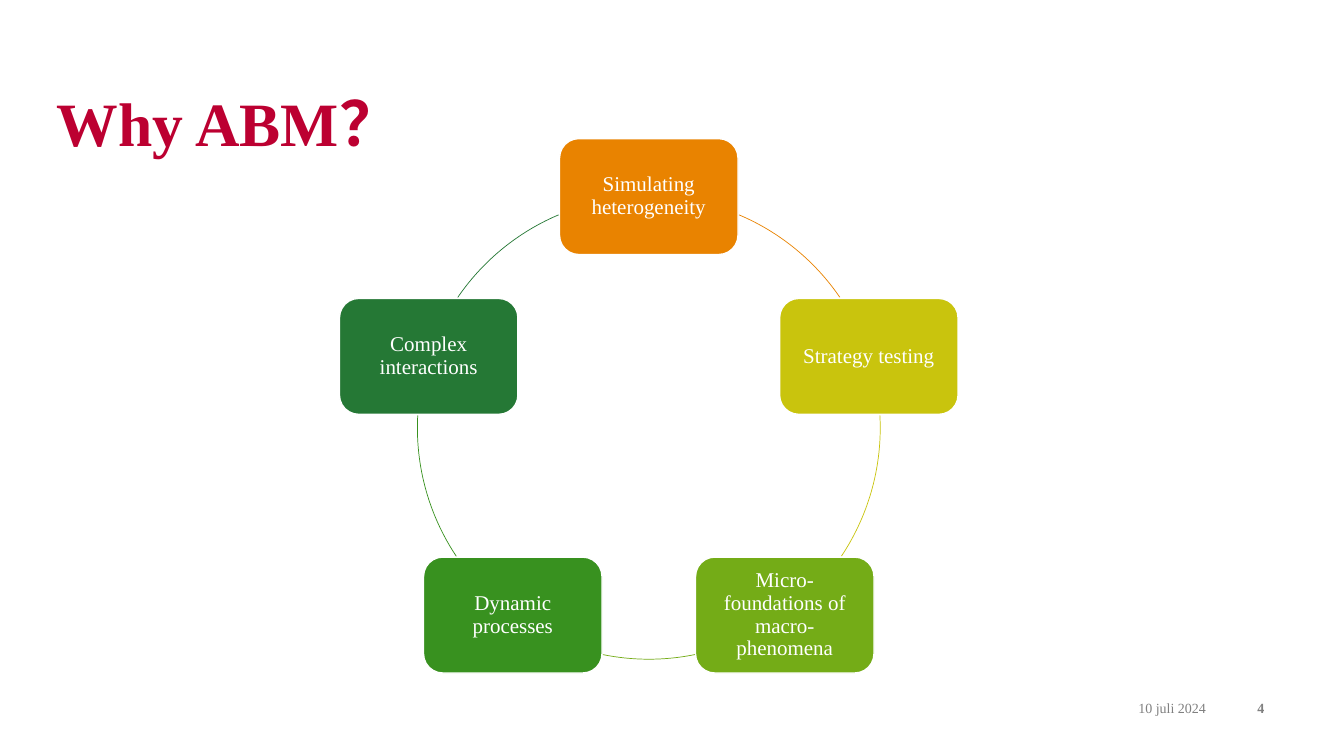
from dataclasses import dataclass
from math import cos, radians, sin

from pptx import Presentation
from pptx.dml.color import RGBColor
from pptx.enum.shapes import MSO_SHAPE
from pptx.enum.text import MSO_ANCHOR, MSO_AUTO_SIZE, PP_ALIGN
from pptx.util import Inches, Pt

COLORS = {
    "title": "BC0031",
    "footer": "808080",
    "white": "FFFFFF",
    "orange": "E98300",
    "yellow": "C9C40D",
    "lime": "74AC17",
    "green": "38911F",
    "forest": "257835",
}
FONT = "Times New Roman"

# Ring geometry, in inches
CENTER_X, CENTER_Y, RADIUS = 6.435, 4.245, 2.295
BOX_W, BOX_H = 1.77, 1.15


@dataclass
class Reason:
    text: str
    color: str
    arc_start: float  # degrees clockwise from three o'clock
    arc_end: float


@dataclass
class Footer:
    text: str
    left: float
    width: float
    bold: bool


REASONS = [
    Reason("Simulating heterogeneity", "orange", 292.94, 325.65),
    Reason("Strategy testing", "yellow", 356.9, 33.7),
    Reason("Micro-foundations of macro-phenomena", "lime", 78.5, 101.5),
    Reason("Dynamic processes", "green", 146.3, 183.1),
    Reason("Complex interactions", "forest", 214.35, 247.06),
]
FOOTERS = [
    Footer("10 juli 2024", 8.75, 3.21, False),
    Footer("4", 12.23, 0.31, True),
]


def rgb(name: str) -> RGBColor:
    return RGBColor.from_string(COLORS[name])


def write(sp, text: str, size: float, color: str, align, bold: bool = False,
          inset: float = 0, spacing: float = 1.0) -> None:
    """Fill a shape with one formatted paragraph."""
    tf = sp.text_frame
    margin = Inches(inset)
    frame_format = {
        "word_wrap": True,
        "auto_size": MSO_AUTO_SIZE.NONE,
        "vertical_anchor": MSO_ANCHOR.MIDDLE,
        "margin_left": margin,
        "margin_right": margin,
        "margin_top": margin,
        "margin_bottom": margin,
    }
    for name, value in frame_format.items():
        setattr(tf, name, value)
    p = tf.paragraphs[0]
    p.alignment = align
    p.line_spacing = spacing
    r = p.add_run()
    r.text = text
    font_format = {"name": FONT, "size": Pt(size), "bold": bold}
    for name, value in font_format.items():
        setattr(r.font, name, value)
    r.font.color.rgb = rgb(color)


def add_reason_box(s, reason: Reason, angle: float) -> None:
    x = CENTER_X + RADIUS * cos(radians(angle))
    y = CENTER_Y + RADIUS * sin(radians(angle))
    sp = s.shapes.add_shape(
        MSO_SHAPE.ROUNDED_RECTANGLE,
        Inches(x - BOX_W / 2), Inches(y - BOX_H / 2), Inches(BOX_W), Inches(BOX_H))
    sp.shadow.inherit = False
    sp.fill.solid()
    sp.fill.fore_color.rgb = rgb(reason.color)
    sp.line.color.rgb = rgb("white")
    sp.line.width = Pt(1)
    write(sp, reason.text, 15, "white", PP_ALIGN.CENTER, inset=0.12, spacing=0.9)


def add_ring_arc(s, reason: Reason) -> None:
    sp = s.shapes.add_shape(
        MSO_SHAPE.ARC,
        Inches(CENTER_X - RADIUS), Inches(CENTER_Y - RADIUS),
        Inches(2 * RADIUS), Inches(2 * RADIUS))
    sp.shadow.inherit = False
    sp.fill.background()
    sp.line.color.rgb = rgb(reason.color)
    sp.line.width = Pt(0.5)
    # Angles are stored in 1/60000 degree, adjustments in 1/100000
    for i, angle in enumerate((reason.arc_start, reason.arc_end)):
        sp.adjustments[i] = angle * 0.6


def add_footer(s, footer: Footer) -> None:
    sp = s.shapes.add_textbox(
        Inches(footer.left), Inches(6.94), Inches(footer.width), Inches(0.17))
    write(sp, footer.text, 10, "footer", PP_ALIGN.RIGHT, footer.bold)


def main() -> None:
    prs = Presentation()
    prs.slide_width, prs.slide_height = Inches(13.33), Inches(7.5)
    s = prs.slides.add_slide(prs.slide_layouts[5])

    # Title
    title = s.shapes.title
    place = {"left": 0.56, "top": 0.77, "width": 12.2, "height": 0.97}
    for name, value in place.items():
        setattr(title, name, Inches(value))
    write(title, "Why ABM？", 44, "title", PP_ALIGN.LEFT, bold=True, spacing=0.9)

    # Date and slide number
    for footer in FOOTERS:
        add_footer(s, footer)

    # Ring of reasons, clockwise from the top
    step = 360 / len(REASONS)
    for i, reason in enumerate(REASONS):
        add_reason_box(s, reason, i * step - 90)
        add_ring_arc(s, reason)

    prs.save("out.pptx")


if __name__ == "__main__":
    main()
